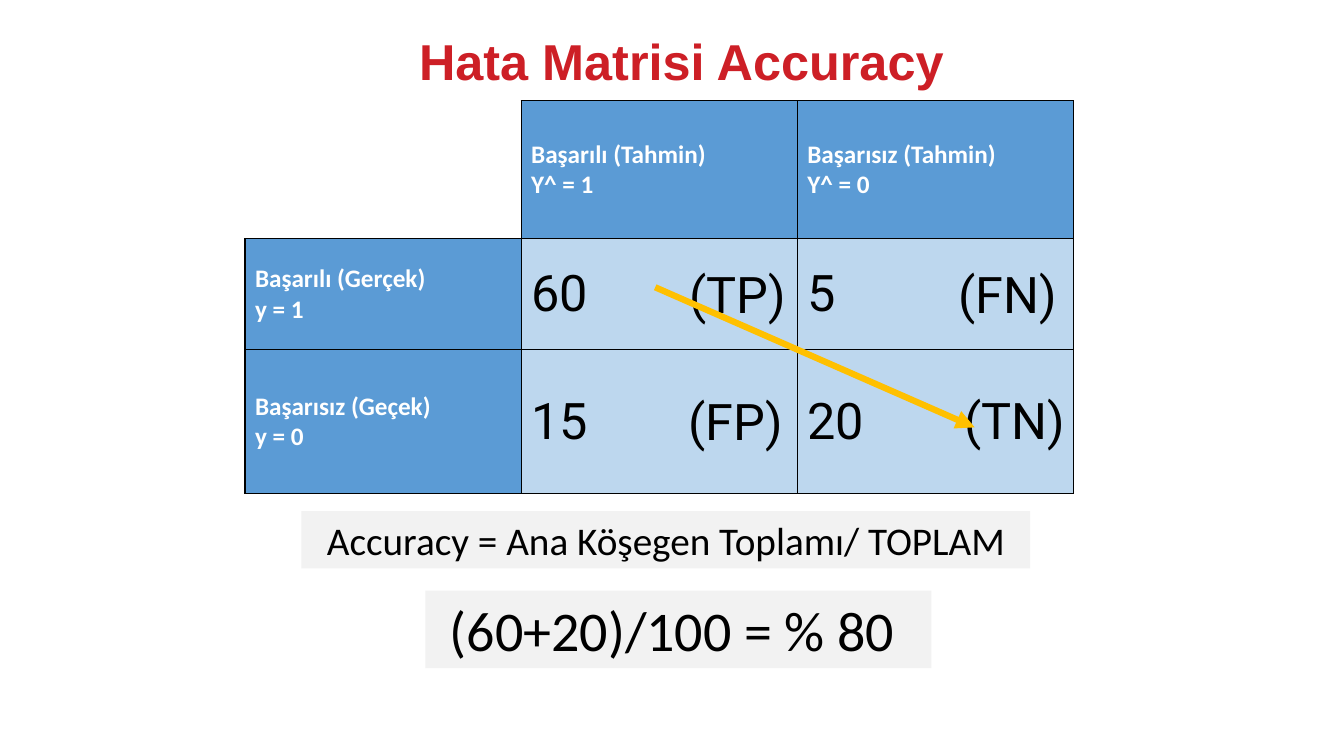
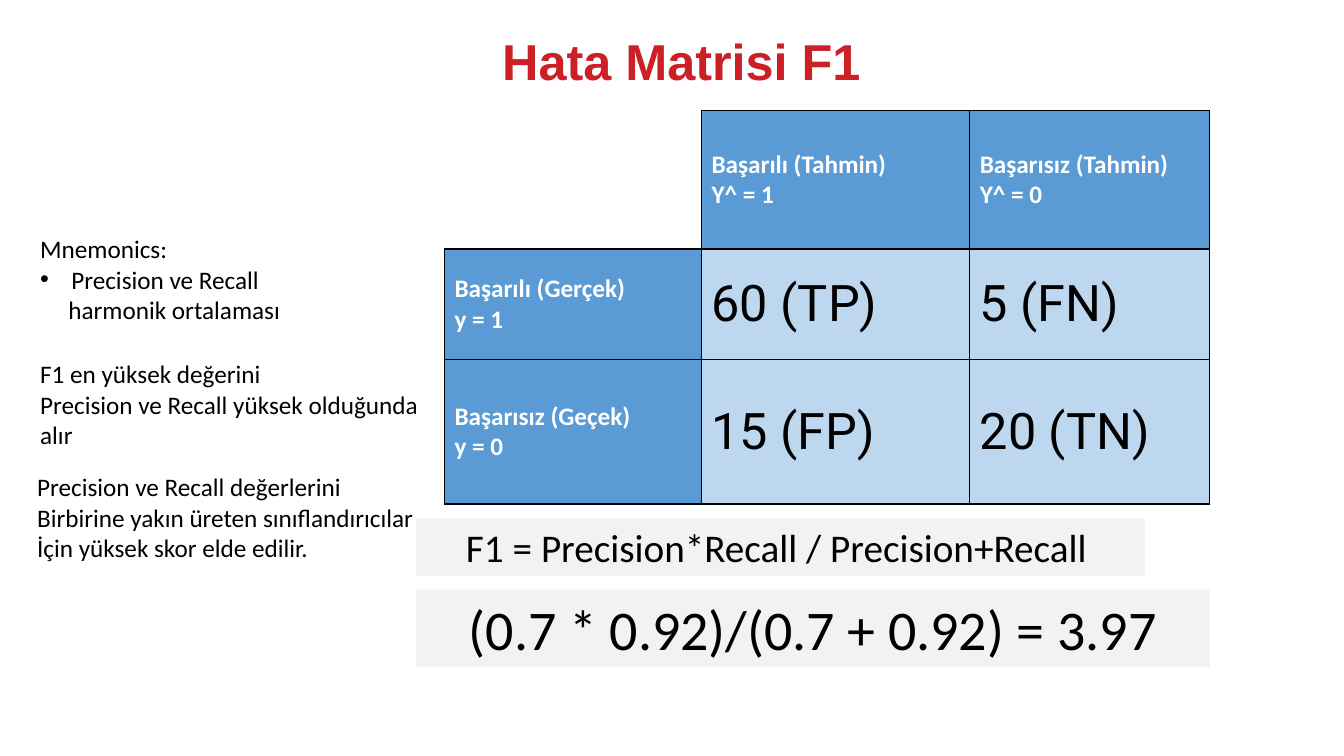
from lxml import etree
from pptx import Presentation
from pptx import util as u
from pptx.dml.color import RGBColor
from pptx.enum import shapes, text
from pptx.oxml.ns import qn

PX = 9144  # 100 px to the inch
RED = RGBColor(0xCD, 0x1F, 0x26)
BLUE = RGBColor(0x5B, 0x9B, 0xD5)
PALE = RGBColor(0xBD, 0xD7, 0xEE)
GREY = RGBColor(0xF2, 0xF2, 0xF2)
GOLD = RGBColor(0xFF, 0xC0, 0x00)
BLACK = RGBColor(0, 0, 0)
WHITE = RGBColor(0xFF, 0xFF, 0xFF)

LEFT, CENTER = text.PP_ALIGN.LEFT, text.PP_ALIGN.CENTER
ROWS = [137, 110, 143]
HEADS = ["Başarılı (Tahmin)\nY^ = 1", "Başarısız (Tahmin)\nY^ = 0"]
SIDES = ["Başarılı (Gerçek)\ny = 1", "Başarısız (Geçek)\ny = 0"]

# title, table left and top, columns, counts, formulas (text, size, box)
SLIDES = [
    ("Hata Matrisi Accuracy", 243, 100, [274, 274, 274],
     [["60", "5"], ["15", "20"]],
     [("Accuracy = Ana Köşegen Toplamı/ TOPLAM", 28, (299, 507, 723, 57)),
      ("(60+20)/100 = % 80 ", 40, (422, 586, 502, 77))]),
    ("Hata Matrisi F1", 441, 110, [255, 266, 238],
     [["60 (TP)", "5 (FN)"], ["15 (FP)", "20 (TN)"]],
     [("F1 = Precision*Recall / Precision+Recall ", 28, (413, 514, 723, 57)),
      ("(0.7 * 0.92)/(0.7 + 0.92) = 3.97", 40, (413, 585, 787, 77))]),
]


def write(tf, words, size, font="Calibri", color=BLACK, bold=False, align=LEFT):
    tf.text = words
    for p in tf.paragraphs:
        p.alignment = align
        for r in p.runs:
            r.font.size, r.font.name, r.font.bold = u.Pt(size), font, bold
            r.font.color.rgb = color


def add_label(s, box, words, size, font="Calibri"):
    tf = s.shapes.add_textbox(*[v * PX for v in box]).text_frame
    tf.word_wrap = False
    tf.auto_size = text.MSO_AUTO_SIZE.SHAPE_TO_FIT_TEXT
    write(tf, words, size, font)
    return tf


prs = Presentation()
prs.slide_width, prs.slide_height = u.Inches(13.333), u.Inches(7.5)

for title, left, top, cols, counts, formulas in SLIDES:
    s = prs.slides.add_slide(prs.slide_layouts[5])
    sp = s.shapes.title
    sp.left, sp.top, sp.width, sp.height = [v * PX for v in (215, 31, 922, 65)]
    write(sp.text_frame, title, 36, "Arial", RED, True, CENTER)
    sp.text_frame.paragraphs[0].line_spacing = 0.9

    table = s.shapes.add_table(3, 3, left * PX, top * PX,
                               sum(cols) * PX, sum(ROWS) * PX).table
    table.first_row = table.horz_banding = False
    for col, width in zip(table.columns, cols):
        col.width = width * PX
    for row, height in zip(table.rows, ROWS):
        row.height = height * PX

    grid = [[""] + HEADS] + [[side] + row for side, row in zip(SIDES, counts)]
    for i, row in enumerate(grid):
        for j, words in enumerate(row):
            cell = table.cell(i, j)
            cell.vertical_anchor = text.MSO_ANCHOR.MIDDLE
            if not words:
                cell.fill.background()
            else:
                cell.fill.solid()
                cell.fill.fore_color.rgb = PALE if i and j else BLUE
                if i and j:
                    write(cell.text_frame, words, 36, "Roboto")
                else:
                    write(cell.text_frame, words, 18, color=WHITE, bold=True)
            tcPr = cell._tc.get_or_add_tcPr()
            for n, side in enumerate("LRTB" if words else "RB"):
                ln = etree.Element(qn(f"a:ln{side}"), w=str(u.Pt(1)))
                fill = etree.SubElement(ln, qn("a:solidFill"))
                etree.SubElement(fill, qn("a:srgbClr"), val=str(BLACK))
                tcPr.insert(n, ln)

    for words, size, box in formulas:
        sp = s.shapes.add_shape(shapes.MSO_SHAPE.RECTANGLE, *[v * PX for v in box])
        sp.shadow.inherit = False
        sp.fill.solid()
        sp.fill.fore_color.rgb = GREY
        sp.line.fill.background()
        sp.text_frame.word_wrap = True
        sp.text_frame.auto_size = text.MSO_AUTO_SIZE.SHAPE_TO_FIT_TEXT
        write(sp.text_frame, words, size, align=CENTER)

accuracy, f1 = prs.slides

# Accuracy: cell names and the arrow along the main diagonal
for words, x, y, width in [("(TP)", 674, 256, 118), ("(TN)", 947, 381, 121),
                           ("(FN)", 941, 256, 121), ("(FP)", 673, 382, 118)]:
    add_label(accuracy, (x, y, width, 71), words, 36, "Roboto")

arrow = accuracy.shapes.add_connector(shapes.MSO_CONNECTOR.STRAIGHT,
                                      650 * PX, 285 * PX, 967 * PX, 424 * PX)
arrow.line.color.rgb = GOLD
arrow.line.width = u.Pt(4.5)
etree.SubElement(arrow.line._get_or_add_ln(), qn("a:tailEnd"), type="triangle")
etree.SubElement(arrow._element.spPr, qn("a:effectLst"))

# F1: notes beside the table
mnemonics = add_label(f1, (30, 227, 261, 101),
                      "Mnemonics:\nPrecision ve Recall\nharmonik ortalaması", 18)
add_label(f1, (30, 351, 409, 101),
          "F1 en yüksek değerini\nPrecision ve Recall yüksek olduğunda\nalır", 18)
add_label(f1, (27, 463, 398, 101),
          "Precision ve Recall değerlerini\nBirbirine yakın üreten sınıflandırıcılar\n"
          "İçin yüksek skor elde edilir.", 18)

for p, margin, indent in zip(mnemonics.paragraphs[1:], (31, 28), (-31, 0)):
    pPr = p._p.get_or_add_pPr()
    pPr.set("marL", str(margin * PX))
    pPr.set("indent", str(indent * PX))
    if indent:
        etree.SubElement(pPr, qn("a:buFont"), typeface="Arial")
        etree.SubElement(pPr, qn("a:buChar"), char="•")

prs.save("out.pptx")
